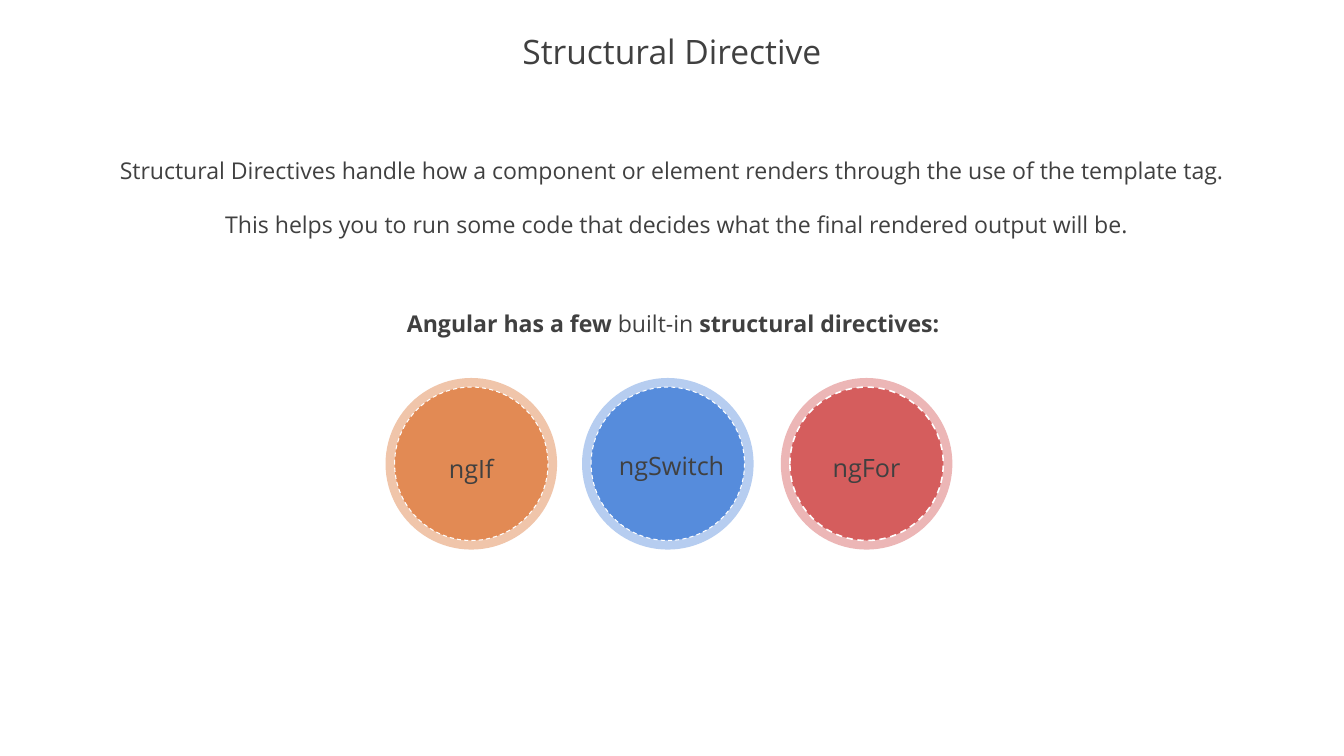
from pptx import Presentation
from pptx import util as u
from pptx.dml.color import RGBColor
from pptx.enum import dml, shapes, text

WIDTH, HEIGHT = u.Inches(17.78), u.Inches(10)
COLUMN, ROW = WIDTH / 100, HEIGHT / 100
FONT = "Open Sans"
INK = RGBColor(0x40, 0x40, 0x40)
WHITE = RGBColor(0xFF, 0xFF, 0xFF)
ORANGE, PALE_ORANGE = RGBColor(0xE2, 0x8A, 0x54), RGBColor(0xF0, 0xC5, 0xAA)
BLUE, PALE_BLUE = RGBColor(0x56, 0x8C, 0xDC), RGBColor(0xB6, 0xCD, 0xF0)
RED, PALE_RED = RGBColor(0xD5, 0x5D, 0x5D), RGBColor(0xEC, 0xB6, 0xB6)

CIRCLE_MIDDLE = 61.35
RING_SIZE, DISC_SIZE = 22.7, 20.3

# label, centre column, label centre column, label top row, label columns, disc, ring, line points
DIRECTIVES = [
    ("ngFor", 64.48, 64.48, 58.7, 13.1, RED, PALE_RED, 1.5),
    ("ngIf", 35.07, 35.07, 58.9, 9.39, ORANGE, PALE_ORANGE, 1),
    ("ngSwitch", 49.69, 49.97, 58.5, 9.95, BLUE, PALE_BLUE, 1),
]


def add_text(parent, runs, left, top, columns, rows, size=22, spacing=1.0, wrap=True):
    """Add one centred line; runs are (wording, bold) pairs."""
    box = parent.add_textbox(round(left * COLUMN), round(top * ROW),
                             round(columns * COLUMN), round(rows * ROW))
    frame = box.text_frame
    frame.word_wrap = wrap
    paragraph = frame.paragraphs[0]
    paragraph.alignment = text.PP_ALIGN.CENTER
    paragraph.line_spacing = spacing
    for wording, bold in runs:
        run = paragraph.add_run()
        run.text = wording
        run.font.name = FONT
        run.font.size = u.Pt(size)
        run.font.bold = bold
        run.font.color.rgb = INK
    return box


def add_circle(parent, center, size, color):
    """Add a circle whose diameter is given in rows."""
    diameter = round(size * ROW)
    circle = parent.add_shape(shapes.MSO_SHAPE.OVAL,
                              round(center * COLUMN - diameter / 2),
                              round(CIRCLE_MIDDLE * ROW - diameter / 2),
                              diameter, diameter)
    circle.shadow.inherit = False
    circle.fill.solid()
    circle.fill.fore_color.rgb = color
    circle.line.fill.background()
    return circle


def add_directive(slide, label, center, label_center, label_top, columns, color, ring_color, line):
    group = slide.shapes.add_group_shape().shapes
    add_circle(group, center, RING_SIZE, ring_color)
    disc = add_circle(group, center, DISC_SIZE, color)
    disc.line.color.rgb = WHITE
    disc.line.width = u.Pt(line)
    disc.line.dash_style = dml.MSO_LINE.DASH
    add_text(group, [(label, False)], label_center - columns / 2, label_top, columns, 5.7,
             size=24, spacing=1.15)


def main():
    presentation = Presentation()
    presentation.slide_width, presentation.slide_height = WIDTH, HEIGHT
    slide = presentation.slides.add_slide(presentation.slide_layouts[6])

    title = add_text(slide.shapes, [("Structural Directive", False)], 0, 3.5, 100, 7.3,
                     size=32, spacing=0.9)
    title.text_frame.vertical_anchor = text.MSO_ANCHOR.MIDDLE

    add_text(slide.shapes, [("Structural Directives handle how a component or element renders "
                             "through the use of the template tag.", False)],
             7.82, 20.2, 84.31, 4.7, wrap=False)
    add_text(slide.shapes, [("This helps you to run some code that decides what the final "
                             "rendered output will be.", False)], 15.8, 27.4, 69.07, 4.7)
    add_text(slide.shapes, [("Angular has a few ", True), ("built-in", False),
                            (" structural directives:", True)], 27.22, 40.4, 45.73, 4.7)

    for directive in DIRECTIVES:
        add_directive(slide, *directive)
    presentation.save("out.pptx")


if __name__ == "__main__":
    main()
